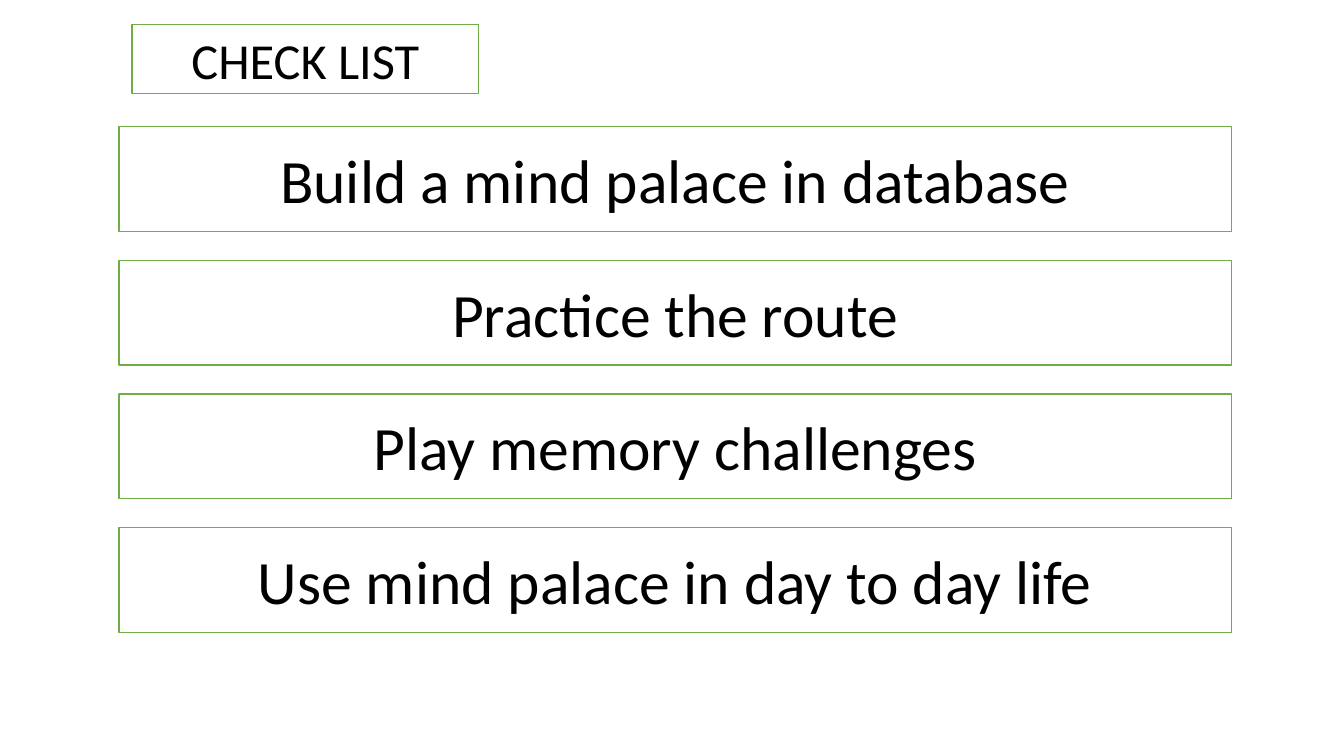
from dataclasses import dataclass

from lxml.etree import SubElement
from pptx import Presentation
from pptx.dml.color import RGBColor
from pptx.enum.shapes import MSO_SHAPE
from pptx.enum.text import MSO_ANCHOR, MSO_AUTO_SIZE, PP_ALIGN
from pptx.oxml.ns import qn
from pptx.shapes.autoshape import Shape
from pptx.slide import Slide
from pptx.util import Pt


@dataclass(frozen=True)
class Theme:
    font: str = "Calibri"
    ink: RGBColor = RGBColor(0, 0, 0)
    paper: RGBColor = RGBColor(255, 255, 255)
    edge: RGBColor = RGBColor(0x70, 0xAD, 0x47)
    rule: float = 1
    head: float = 36
    item: float = 44


@dataclass(frozen=True)
class Box:
    text: str
    left: float
    top: float
    width: float
    height: float
    size: float


THEME = Theme()
TITLE = Box("CHECK LIST", 94.3, 17.3, 247.7, 49.7, THEME.head)
TASKS = (
    "Build a mind palace in database",
    "Practice the route",
    "Play memory challenges",
    "Use mind palace in day to day life",
)
FIRST, STEP = 90.4, 95.5
ITEMS = [
    Box(task, 85, FIRST + row * STEP, 794.9, 74.9, THEME.item)
    for row, task in enumerate(TASKS)
]


def apply(target: object, values: dict[str, object]) -> None:
    for name, value in values.items():
        setattr(target, name, value)


def style(shape: Shape, box: Box) -> None:
    """Give a shape the outline, fill and centred text of the list."""
    shape.shadow.inherit = False
    shape.fill.solid()
    shape.fill.fore_color.rgb = THEME.paper
    shape.line.color.rgb = THEME.edge
    shape.line.width = Pt(THEME.rule)
    frame = shape.text_frame
    apply(frame, {
        "text": box.text,
        "word_wrap": True,
        "auto_size": MSO_AUTO_SIZE.NONE,
        "vertical_anchor": MSO_ANCHOR.MIDDLE,
    })
    line = frame.paragraphs[0]
    line.alignment = PP_ALIGN.CENTER
    font = line.runs[0].font
    apply(font, {"name": THEME.font, "size": Pt(box.size)})
    font.color.rgb = THEME.ink


def add_title(slide: Slide, box: Box) -> None:
    """Turn the title placeholder into a tab with one cut corner."""
    title = slide.shapes.title
    apply(title, {
        side: Pt(getattr(box, side))
        for side in ("left", "top", "width", "height")
    })
    form = SubElement(title.element.spPr, qn("a:prstGeom"), prst="snipRoundRect")
    SubElement(form, qn("a:avLst"))
    style(title, box)


def add_item(slide: Slide, box: Box) -> None:
    shape = slide.shapes.add_shape(
        MSO_SHAPE.RECTANGLE,
        Pt(box.left), Pt(box.top), Pt(box.width), Pt(box.height),
    )
    style(shape, box)


def main() -> None:
    deck = Presentation()
    apply(deck, {"slide_width": Pt(960), "slide_height": Pt(540)})
    slide = deck.slides.add_slide(deck.slide_layouts.get_by_name("Title Only"))
    add_title(slide, TITLE)
    for item in ITEMS:
        add_item(slide, item)
    deck.save("out.pptx")


if __name__ == "__main__":
    main()
